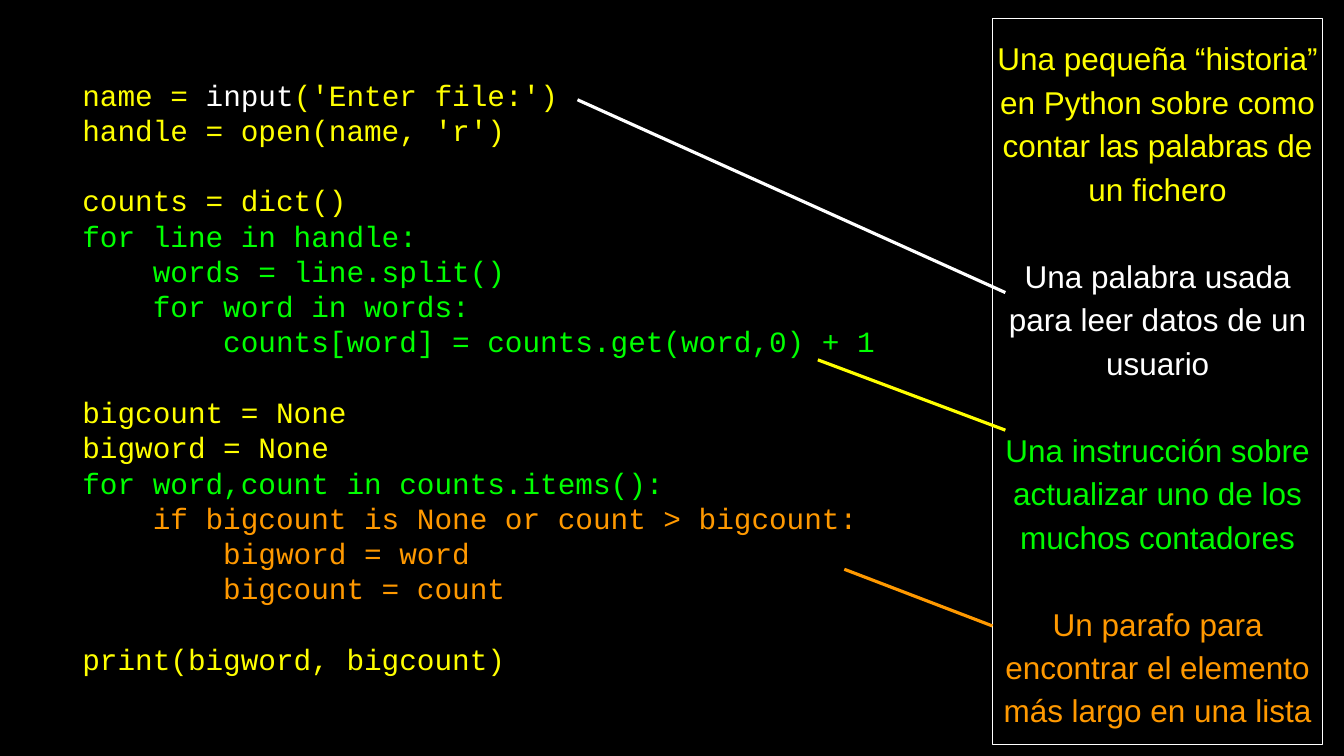
from pptx import Presentation
from pptx.dml.color import RGBColor
from pptx.enum.shapes import MSO_CONNECTOR as Conn, MSO_SHAPE as Shape
from pptx.enum.text import MSO_ANCHOR as Anchor, PP_ALIGN as Align
from pptx.oxml.ns import qn
from pptx.util import Inches, Pt
from lxml import etree


def hue(code):
    return RGBColor.from_string(code)


def write(shape, rows, face, size, lead, align):
    frame = shape.text_frame
    frame.word_wrap = True
    frame.vertical_anchor = Anchor.MIDDLE
    frame.margin_left = frame.margin_right = 0
    frame.margin_top = frame.margin_bottom = 0
    for i, (gap, parts) in enumerate(rows):
        para = frame.paragraphs[0] if i == 0 else frame.add_paragraph()
        para.alignment = align
        para.line_spacing = Pt(lead)
        para.space_before = Pt(lead * gap)
        for text, color in parts:
            run = para.add_run()
            run.text = text
            run.font.name = face
            run.font.size = Pt(size)
            run.font.color.rgb = hue(color)


YELLOW, WHITE, ORANGE = "FFFF00", "FFFFFF", "FF9900"
LIME, GREEN = "00FF00", "00FA00"

deck = Presentation()
deck.slide_width = Inches(17.78)
deck.slide_height = Inches(10)
slide = deck.slides.add_slide(deck.slide_layouts[6])
slide.background.fill.solid()
slide.background.fill.fore_color.rgb = hue("000000")

code = [
    (0, [("name = ", YELLOW), ("input", WHITE), ("('Enter file:')", YELLOW)]),
    (0, [("handle = open(name, 'r')", YELLOW)]),
    (1, [("counts = dict()", YELLOW)]),
    (0, [("for line in handle:", LIME)]),
    (0, [("    words = line.split()", LIME)]),
    (0, [("    for word in words:", LIME)]),
    (0, [("        counts[word] = counts.get(word,0) + 1", LIME)]),
    (1, [("bigcount = None", YELLOW)]),
    (0, [("bigword = None", YELLOW)]),
    (0, [("for word,count in counts.items():", LIME)]),
    (0, [("    if bigcount is None or count > bigcount:", ORANGE)]),
    (0, [("        bigword = word", ORANGE)]),
    (0, [("        bigcount = count", ORANGE)]),
    (1, [("print(bigword, bigcount)", YELLOW)]),
]
box = slide.shapes.add_textbox(Inches(1.09), Inches(0.85), Inches(10.97), Inches(8.26))
write(box, code, "Courier New", 28, 33.6, Align.LEFT)

notes = [
    (0, [("Una pequeña “historia” en Python sobre como contar las palabras de un fichero", YELLOW)]),
    (1, [("Una palabra usada para leer datos de un usuario", WHITE)]),
    (1, [("Una instrucción sobre actualizar uno de los muchos contadores", GREEN)]),
    (1, [("Un parafo para encontrar el elemento más largo en una lista", ORANGE)]),
]
panel = slide.shapes.add_shape(
    Shape.RECTANGLE, Inches(13.13), Inches(0.24), Inches(4.37), Inches(9.61))
panel.shadow.inherit = False
panel.fill.background()
panel.line.color.rgb = hue(WHITE)
panel.line.width = Pt(0.75)
write(panel, notes, "Arial", 30, 41.4, Align.CENTER)

links = [
    (7.64, 1.32, 13.3, 3.87, WHITE),
    (10.82, 4.76, 13.3, 5.69, YELLOW),
    (11.17, 7.53, 13.13, 8.28, ORANGE),
]
for *ends, color in links:
    link = slide.shapes.add_connector(Conn.STRAIGHT, *map(Inches, ends))
    link.line.color.rgb = hue(color)
    link.line.width = Pt(3)
    etree.SubElement(link.element.spPr, qn("a:effectLst"))

deck.save("out.pptx")
